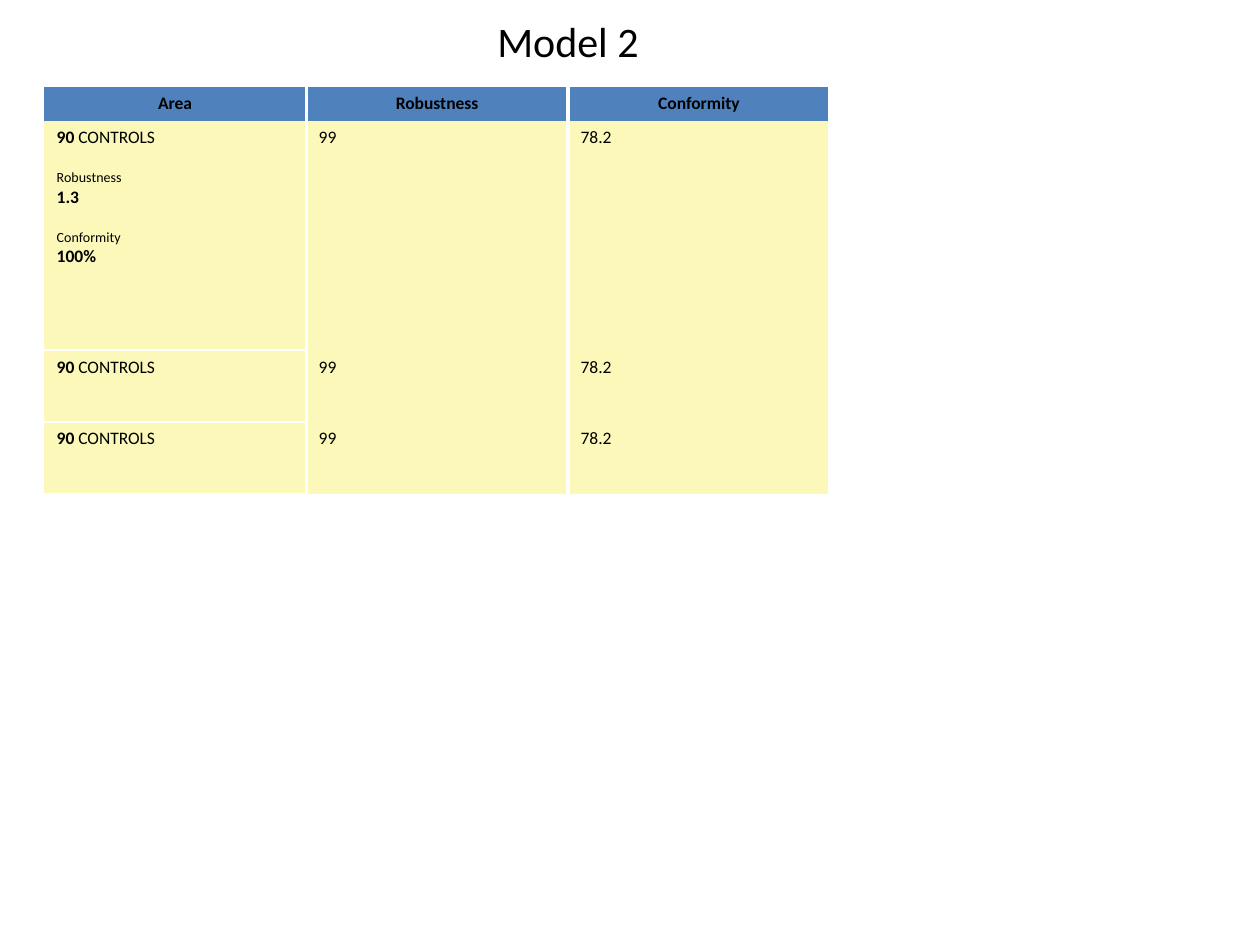
from lxml import etree
from pptx import Presentation
from pptx.dml.color import RGBColor
from pptx.enum.text import MSO_ANCHOR, PP_ALIGN
from pptx.oxml.ns import qn
from pptx.util import Cm, Pt

CENTER, LEFT = PP_ALIGN.CENTER, PP_ALIGN.LEFT
MIDDLE = MSO_ANCHOR.MIDDLE
NO_STYLE = "{2D5ABB26-0587-4C30-8999-92F81FD0307C}"
COLORS = {"text": "000000", "header": "4F81BD", "body": "FBF8B9", "rule": "FFFFFF"}


def write(paragraph, text, size=10, bold=False, align=LEFT, before=0):
    paragraph.alignment = align
    paragraph.space_before = Pt(before)
    run = paragraph.add_run()
    run.text = text
    run.font.name = "Calibri"
    run.font.size = Pt(size)
    run.font.bold = bold
    run.font.color.rgb = RGBColor.from_string(COLORS["text"])


def style_cell(cell, fill, borders):
    properties = cell._tc.get_or_add_tcPr()
    for side, width in borders.items():
        line = etree.SubElement(properties, qn(f"a:ln{side}"), w=str(Pt(width)))
        solid = etree.SubElement(line, qn("a:solidFill"))
        etree.SubElement(solid, qn("a:srgbClr"), val=COLORS["rule"])
    cell.fill.solid()
    cell.fill.fore_color.rgb = RGBColor.from_string(COLORS[fill])


prs = Presentation()
prs.slide_width, prs.slide_height = Cm(25.4), Cm(19.05)
slide = prs.slides.add_slide(prs.slide_layouts[5])

heading = slide.shapes.title
heading.left, heading.top, heading.width, heading.height = Cm(8.81), Cm(0.18), Cm(5.28), Cm(1.28)
heading.text_frame.vertical_anchor = MIDDLE
write(heading.text_frame.paragraphs[0], "Model 2", size=24, align=CENTER)

headers = ["Area", "Robustness", "Conformity"]
controls = [("90", "99", "78.2")] * 3
area_details = [("Robustness", "1.3"), ("Conformity", "100%")]
column_width = 5.28
row_heights = [0.69, 4.62, 1.45, 1.45]

scores = slide.shapes.add_table(
    len(row_heights), len(headers), Cm(0.89), Cm(1.75),
    Cm(column_width * len(headers)), Cm(sum(row_heights))).table
scores._tbl.tblPr.find(qn("a:tableStyleId")).text = NO_STYLE
for column in scores.columns:
    column.width = Cm(column_width)
for row, height in zip(scores.rows, row_heights):
    row.height = Cm(height)

for col, label in enumerate(headers):
    cell = scores.cell(0, col)
    write(cell.text_frame.paragraphs[0], label, bold=True, align=CENTER)
    style_cell(cell, "header", {"R": 2})

for row, (count, *values) in enumerate(controls, start=1):
    area = scores.cell(row, 0)
    write(area.text_frame.paragraphs[0], count, bold=True)
    write(area.text_frame.paragraphs[0], " CONTROLS")
    style_cell(area, "body", {"R": 2, "B": 1.5})
    for col, value in enumerate(values, start=1):
        cell = scores.cell(row, col)
        write(cell.text_frame.paragraphs[0], value)
        style_cell(cell, "body", {"R": 2})

details = scores.cell(1, 0).text_frame
for measure, value in area_details:
    write(details.add_paragraph(), measure, size=8, before=12)
    write(details.add_paragraph(), value, bold=True)

prs.save("out.pptx")
